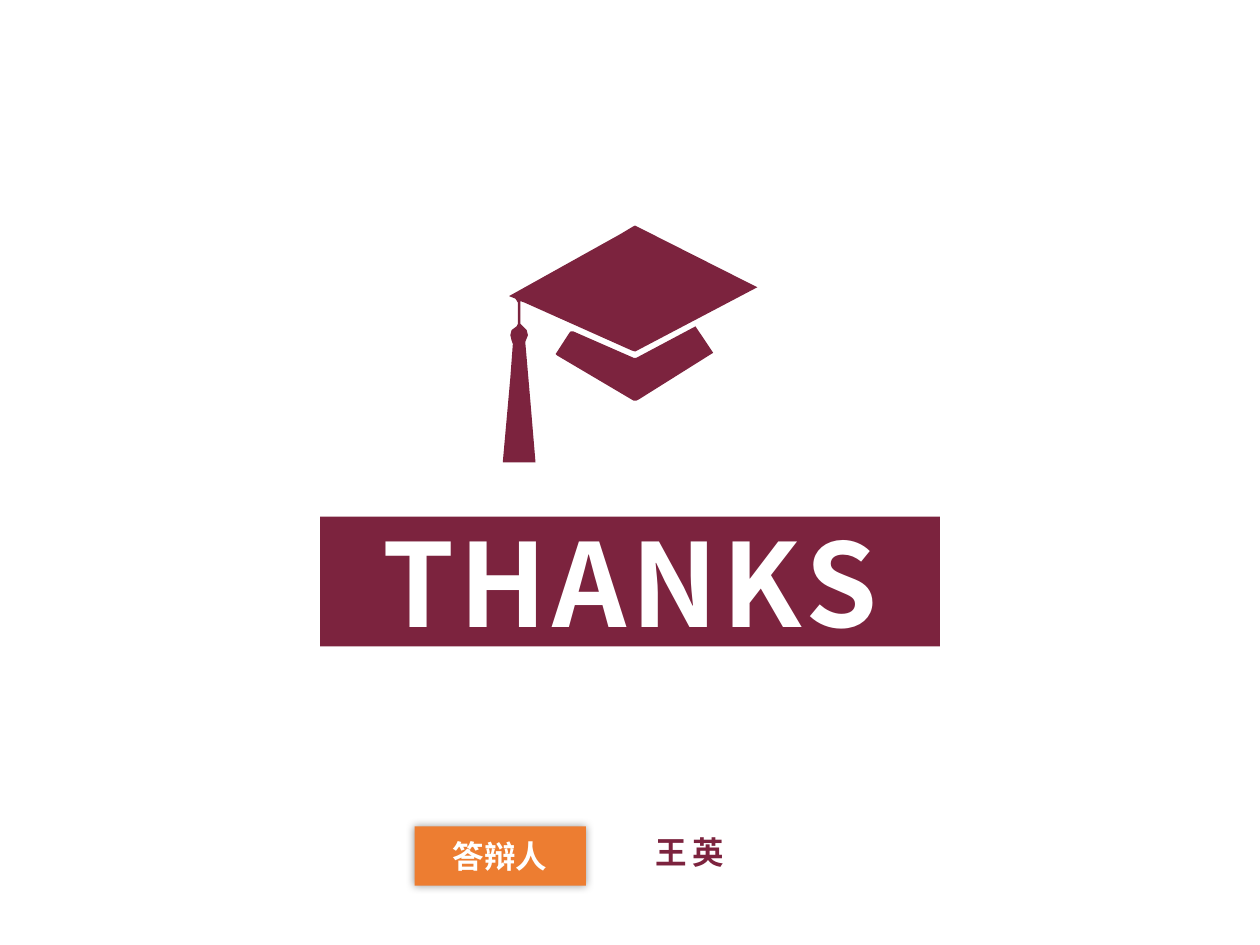
from lxml import etree
from pptx import Presentation
from pptx import util as u
from pptx.dml.color import RGBColor
from pptx.enum import shapes, text
from pptx.oxml.ns import qn

FONT = "Noto Sans CJK SC"
MAROON = "7C233E"
ORANGE = "ED7D31"
WHITE = "FFFFFF"

CAP_BOARD_AND_TASSEL = [
    (413, 239), (413, 257), (415, 259), (418, 262), (419, 266), (417, 271),
    (417, 273), (421, 319), (425, 367), (399, 367), (405, 300), (407, 273),
    (406, 270), (405, 266), (406, 262), (410, 259), (411, 257), (411, 240),
    (409, 237), (404, 235), (492, 186), (502, 180), (504, 179), (506, 180),
    (601, 228), (506, 278), (504, 279), (501, 278), (416, 240),
]
CAP_BAND = [
    (441, 281), (452, 264), (453, 263), (455, 263), (503, 284), (505, 284),
    (552, 259), (566, 280), (507, 317), (505, 318), (503, 318), (442, 282),
]


def color(hex_value):
    return RGBColor.from_string(hex_value)


def write(frame, content, size, hex_value, spacing=0):
    frame.word_wrap = True
    paragraph = frame.paragraphs[0]
    paragraph.alignment = text.PP_ALIGN.CENTER
    run = paragraph.add_run()
    run.text = content
    run.font.size = u.Pt(size)
    run.font.bold = True
    run.font.name = FONT
    run.font.color.rgb = color(hex_value)
    properties = run.font._element
    etree.SubElement(properties, qn("a:ea"), typeface=FONT)
    if spacing:
        properties.set("spc", str(spacing * 100))


class Deck:
    def __init__(self, width, height):
        self.prs = Presentation()
        self.prs.slide_width = u.Inches(width)
        self.prs.slide_height = u.Inches(height)
        self.slide = self.prs.slides.add_slide(self.prs.slide_layouts[6])

    def paint(self, shape, fill):
        shape.shadow.inherit = False
        shape.fill.solid()
        shape.fill.fore_color.rgb = color(fill)
        shape.line.fill.background()

    def banner(self, at, fill, content, **style):
        shape = self.slide.shapes.add_shape(
            shapes.MSO_SHAPE.RECTANGLE, *map(u.Inches, at))
        self.paint(shape, fill)
        shape.text_frame.vertical_anchor = text.MSO_ANCHOR.MIDDLE
        write(shape.text_frame, content, **style)
        return shape

    def glow(self, shape, blur, opacity):
        effects = shape._element.spPr.find(qn("a:effectLst"))
        shadow = etree.SubElement(
            effects, qn("a:outerShdw"), blurRad=str(u.Pt(blur)), dist="0",
            dir="0", algn="ctr", rotWithShape="0")
        tint = etree.SubElement(shadow, qn("a:srgbClr"), val="000000")
        etree.SubElement(tint, qn("a:alpha"), val=str(opacity * 1000))

    def label(self, at, content, **style):
        box = self.slide.shapes.add_textbox(*map(u.Inches, at))
        box.text_frame.auto_size = text.MSO_AUTO_SIZE.SHAPE_TO_FIT_TEXT
        write(box.text_frame, content, **style)

    def outline(self, points, fill):
        builder = self.slide.shapes.build_freeform(
            *points[0], scale=u.Inches(0.01))
        builder.add_line_segments(points[1:], close=True)
        self.paint(builder.convert_to_shape(), fill)


def main():
    deck = Deck(10, 7.5)
    deck.banner((2.54, 4.1, 4.92, 1.03), MAROON, "THANKS",
                size=66, hex_value=WHITE, spacing=3)
    presenter_tag = deck.banner((3.29, 6.56, 1.36, 0.47), ORANGE, "答辩人",
                                size=18, hex_value=WHITE)
    deck.glow(presenter_tag, blur=5, opacity=40)
    deck.label((4.65, 6.56, 1.65, 0.42), "王英",
               size=18, hex_value=MAROON, spacing=3)
    for cap_part in (CAP_BOARD_AND_TASSEL, CAP_BAND):
        deck.outline(cap_part, MAROON)
    deck.prs.save("out.pptx")


if __name__ == "__main__":
    main()
